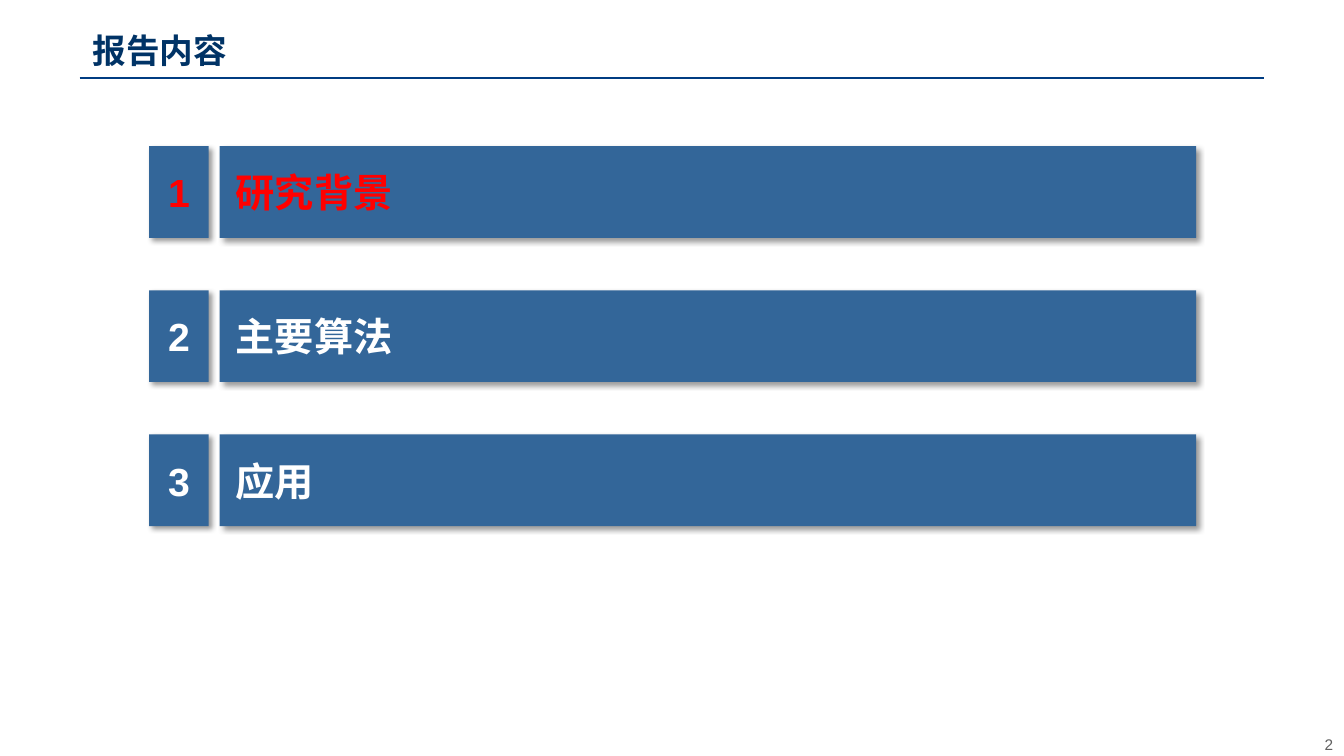
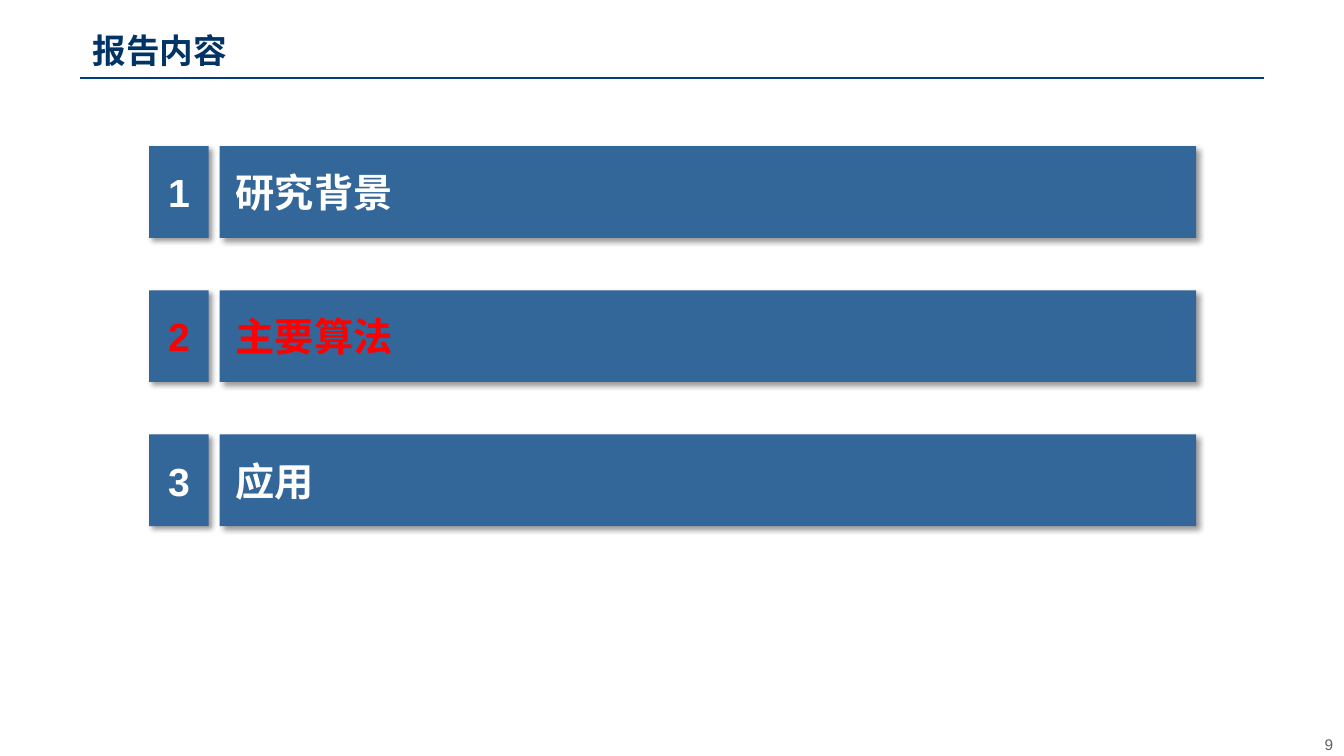
from dataclasses import dataclass

from lxml import etree
from pptx import Presentation
from pptx import util as u
from pptx.dml.color import RGBColor
from pptx.enum import shapes, text
from pptx.oxml import ns


@dataclass(frozen=True)
class Theme:
    font: str = "Arial"
    bar: str = "336699"
    rule: str = "003C82"
    title: str = "003366"
    label: str = "FFFFFF"
    active: str = "FF0000"
    number: str = "606060"
    shadow: str = "000000"
    title_size: int = 24
    label_size: int = 28
    number_size: int = 11


THEME = Theme()
WIDTH, HEIGHT = u.Inches(13.33), u.Inches(7.5)

TITLE = "报告内容"
SECTIONS = ("研究背景", "主要算法", "应用")
PAGES = ((2, 1), (9, 2))

AGENDA_TOP, ROW_PITCH, ROW_HEIGHT = 19.33, 19.07, 12.13
NUMBER_COLUMN = (11.1, 4.43)
LABEL_COLUMN = (16.35, 72.65)


def across(percent):
    return round(WIDTH * percent / 100)


def down(percent):
    return round(HEIGHT * percent / 100)


def area(left, top, width, height):
    return across(left), down(top), across(width), down(height)


def rgb(value):
    return RGBColor.from_string(value)


def write(tf, content, size, color, bold=False, align=text.PP_ALIGN.LEFT):
    tf.word_wrap = True
    p = tf.paragraphs[0]
    p.text = content
    p.alignment = align
    p.font.name = THEME.font
    p.font.size = u.Pt(size)
    p.font.bold = bold
    p.font.color.rgb = rgb(color)


def drop_shadow(sp):
    sp.shadow.inherit = False
    effects = sp._element.spPr.find(ns.qn("a:effectLst"))
    outer = etree.SubElement(
        effects, ns.qn("a:outerShdw"), blurRad=str(u.Pt(4)),
        dist=str(u.Pt(3)), dir=str(45 * 60000), algn="tl", rotWithShape="0")
    color = etree.SubElement(outer, ns.qn("a:srgbClr"), val=THEME.shadow)
    etree.SubElement(color, ns.qn("a:alpha"), val="40000")


def add_bar(s, box, content, color, align, inset=0):
    sp = s.shapes.add_shape(shapes.MSO_SHAPE.RECTANGLE, *box)
    sp.fill.solid()
    sp.fill.fore_color.rgb = rgb(THEME.bar)
    sp.line.fill.background()
    drop_shadow(sp)
    tf = sp.text_frame
    tf.margin_left = u.Inches(inset)
    tf.margin_top = tf.margin_right = tf.margin_bottom = 0
    tf.vertical_anchor = text.MSO_ANCHOR.MIDDLE
    write(tf, content, THEME.label_size, color, True, align)


def add_agenda(s, active):
    for i, section in enumerate(SECTIONS):
        color = THEME.active if i + 1 == active else THEME.label
        top = AGENDA_TOP + i * ROW_PITCH
        (x, w), (label_x, label_w) = NUMBER_COLUMN, LABEL_COLUMN
        add_bar(s, area(x, top, w, ROW_HEIGHT), str(i + 1), color,
                text.PP_ALIGN.CENTER)
        add_bar(s, area(label_x, top, label_w, ROW_HEIGHT), section, color,
                text.PP_ALIGN.LEFT, inset=0.16)


def add_rule(s):
    y = down(10.27)
    line = s.shapes.add_connector(
        shapes.MSO_CONNECTOR.STRAIGHT, across(5.93), y, across(94.07), y)
    line.line.color.rgb = rgb(THEME.rule)
    line.line.width = u.Pt(1.5)
    etree.SubElement(line._element.spPr, ns.qn("a:effectLst"))


def add_title(s):
    tf = s.shapes.add_textbox(*area(6.15, 3.33, 25.58, 6.67)).text_frame
    tf.auto_size = text.MSO_AUTO_SIZE.SHAPE_TO_FIT_TEXT
    write(tf, TITLE, THEME.title_size, THEME.title, True)


def add_page_number(s, number):
    tf = s.shapes.add_textbox(*area(96.1, 96.53, 3.83, 3.2)).text_frame
    write(tf, str(number), THEME.number_size, THEME.number,
          align=text.PP_ALIGN.RIGHT)


def add_agenda_slide(prs, number, active):
    s = prs.slides.add_slide(prs.slide_layouts[6])
    add_rule(s)
    add_title(s)
    add_agenda(s, active)
    add_page_number(s, number)


def main():
    prs = Presentation()
    prs.slide_width, prs.slide_height = WIDTH, HEIGHT
    for number, active in PAGES:
        add_agenda_slide(prs, number, active)
    prs.save("out.pptx")


if __name__ == "__main__":
    main()
